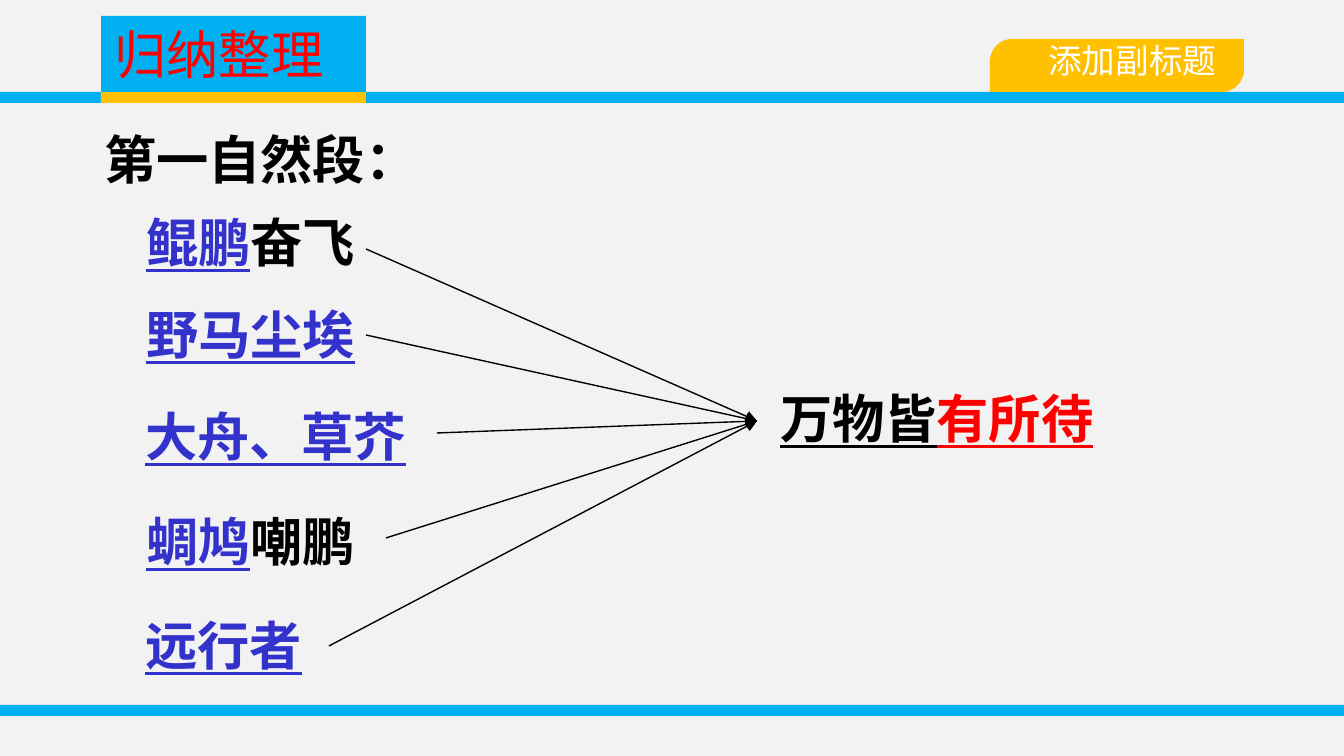
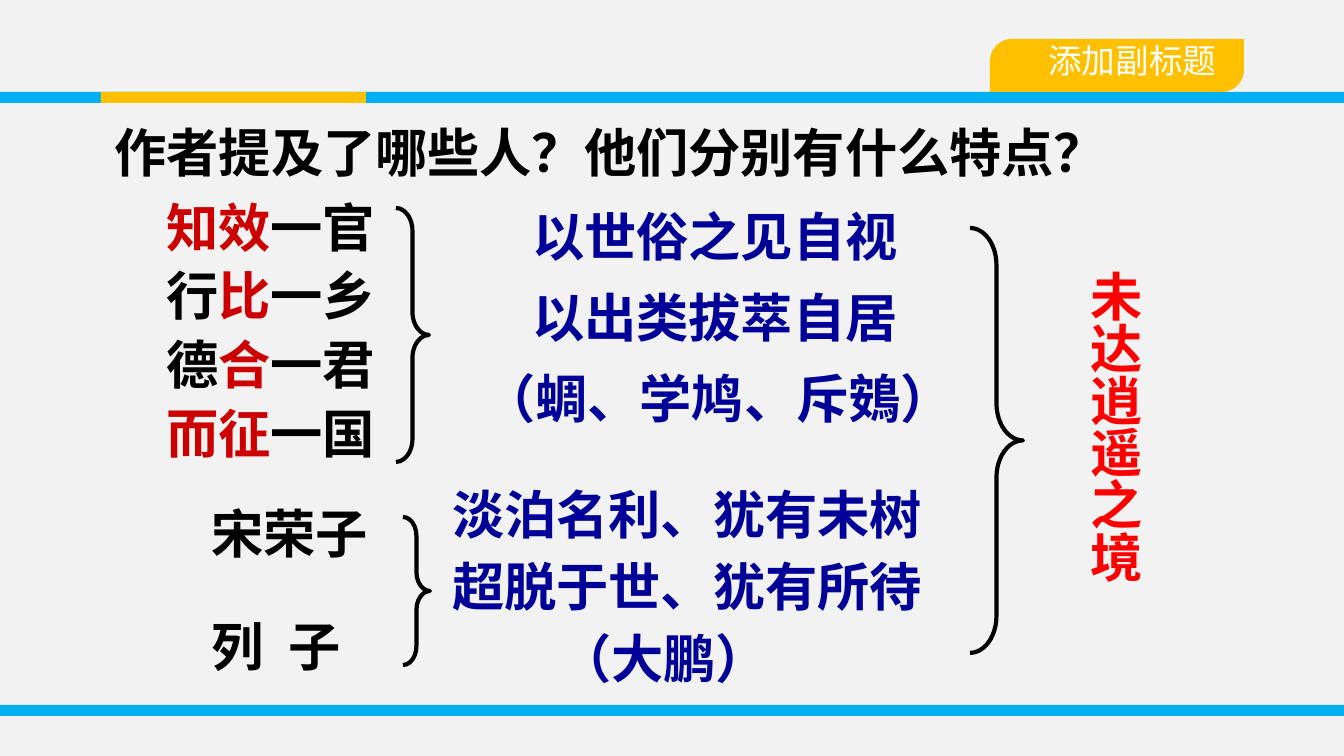
from dataclasses import dataclass

from lxml.etree import SubElement
from pptx import Presentation
from pptx.dml.color import RGBColor
from pptx.enum.shapes import MSO_CONNECTOR as Connector, MSO_SHAPE as Shape
from pptx.enum.text import MSO_ANCHOR as Anchor, MSO_AUTO_SIZE as AutoSize, PP_ALIGN as Align
from pptx.oxml.ns import qn
from pptx.util import Pt


@dataclass(frozen=True)
class Theme:
    font: str = "Arial"
    body_size: int = 28
    tab_size: int = 18
    space_before: int = 15
    arrow_width: float = 0.75
    brace_width: float = 2.25
    paper: str = "F2F2F2"
    band: str = "00B0F0"
    accent: str = "FFC000"
    white: str = "FFFFFF"
    black: str = "000000"
    red: str = "FF0000"
    crimson: str = "CC0000"
    violet: str = "3333CC"
    navy: str = "000099"


THEME = Theme()
EMU_PER_PX = 914400 / 134.4
SLIDE_SIZE = (1344, 756)

BANDS = [
    ((0, 705, 1344, 11), THEME.band),
    ((0, 92, 1344, 11), THEME.band),
    ((101, 92, 265, 11), THEME.accent),
]
SUBTITLE_TAB = ("添加副标题", (990, 39, 254, 53))

SUMMARY_TITLE = ("归纳整理", (101, 16, 265, 76))
SUMMARY_HEADING = ("第一自然段：", (91, 121, 345, 77))
EXAMPLES = [
    ([("鲲鹏", THEME.violet, True), ("奋飞", THEME.black)], (133, 204, 380, 77), (366, 249)),
    ([("野马尘埃", THEME.violet, True)], (133, 296, 269, 77), (366, 335)),
    ([("大舟、草芥", THEME.violet, True)], (132, 398, 349, 77), (437, 433)),
    ([("蜩鸠", THEME.violet, True), ("嘲鹏", THEME.black)], (133, 503, 392, 77), (386, 538)),
    ([("远行者", THEME.violet, True)], (132, 607, 325, 77), (329, 646)),
]
ARROW_TARGET = (757, 421)
CONCLUSION = (
    [("万物皆", THEME.black, True), ("有所待", THEME.red, True)],
    (767, 380, 423, 77),
)

QUESTION_TITLE = ("作者提及了哪些人？他们分别有什么特点？", (101, 113, 1101, 77))
OFFICIALS = [
    [("知效", THEME.crimson), ("一官", THEME.black)],
    [("行", THEME.black), ("比", THEME.crimson), ("一乡", THEME.black)],
    [("德", THEME.black), ("合", THEME.crimson), ("一君", THEME.black)],
    [("而征", THEME.crimson), ("一国", THEME.black)],
]
WORLDLY_VIEWS = [
    [("以世俗之见自视", THEME.navy)],
    [("以出类拔萃自居", THEME.navy)],
    [("（蜩、学鸠、斥鴳）", THEME.navy)],
]
SAGES = [[("宋荣子", THEME.black)], [("列\t子", THEME.black)]]
DETACHED_VIEWS = [
    [("淡泊名利、犹有未树", THEME.navy)],
    [("超脱于世、犹有所待", THEME.navy)],
    [("（大鹏）", THEME.navy)],
]
PEOPLE_BOXES = [
    (OFFICIALS, (153, 208, 276, 278), dict(spacing=[0.65] * 4)),
    (WORLDLY_VIEWS, (470, 207, 508, 237), dict(spacing=[0.85] * 3, indents=[49, 49, 0])),
    (SAGES, (198, 495, 202, 194), dict(spacing=[1, 1.35], tab_stop=77)),
    (DETACHED_VIEWS, (439, 493, 560, 210), dict(spacing=[0.7] * 3, indents=[0, 0, 107])),
]
VERDICT = ([[("未达逍遥之境", THEME.red)]], (1063, 257, 90, 368))
BRACES = [(396, 208, 33, 254), (403, 517, 27, 148), (970, 228, 53, 425)]


def px(value):
    return round(value * EMU_PER_PX)


def place(area):
    return [px(value) for value in area]


def color(value):
    return RGBColor.from_string(value)


def style_font(font, value, size=THEME.body_size, bold=True, underline=False):
    font.name = THEME.font
    font.size = Pt(size)
    font.bold = bold
    font.underline = underline
    font.color.rgb = color(value)


def add_block(page, area, fill, preset=Shape.RECTANGLE):
    block = page.shapes.add_shape(preset, *place(area))
    block.shadow.inherit = False
    block.fill.solid()
    block.fill.fore_color.rgb = color(fill)
    block.line.fill.background()
    return block


def add_text(page, lines, area, spacing=(1,), indents=None, tab_stop=None):
    box = page.shapes.add_textbox(*place(area))
    frame = box.text_frame
    frame.word_wrap = True
    frame.auto_size = AutoSize.NONE
    for index, spans in enumerate(lines):
        para = frame.add_paragraph() if index else frame.paragraphs[0]
        properties = para._p.get_or_add_pPr()
        if indents:
            properties.set("marL", str(px(indents[index])))
        if tab_stop:
            stops = SubElement(properties, qn("a:tabLst"))
            SubElement(stops, qn("a:tab"), pos=str(px(tab_stop)), algn="l")
        para.line_spacing = float(spacing[index])
        if index:
            para.space_before = Pt(THEME.space_before)
        for text, value, *underline in spans:
            span = para.add_run()
            span.text = text
            style_font(span.font, value, underline=bool(underline))
    return box


def set_title(page, text, area, value, bold, anchor):
    title = page.shapes.title
    title.left, title.top, title.width, title.height = place(area)
    frame = title.text_frame
    frame.text = text
    frame.word_wrap = True
    frame.auto_size = AutoSize.NONE
    frame.vertical_anchor = anchor
    para = frame.paragraphs[0]
    para.alignment = Align.LEFT
    style_font(para.runs[0].font, value, bold=bold)
    return title


def add_arrow(page, start, end):
    arrow = page.shapes.add_connector(Connector.STRAIGHT, *place(start + end))
    arrow.line.width = Pt(THEME.arrow_width)
    arrow.line.color.rgb = color(THEME.black)
    SubElement(arrow.line._get_or_add_ln(), qn("a:tailEnd"), type="triangle")
    SubElement(arrow.element.spPr, qn("a:effectLst"))


def add_brace(page, area):
    brace = page.shapes.add_shape(Shape.RIGHT_BRACE, *place(area))
    brace.shadow.inherit = False
    brace.adjustments[0] = 0.7
    brace.fill.background()
    brace.line.width = Pt(THEME.brace_width)
    brace.line.color.rgb = color(THEME.black)


def dress_layout(layout, page):
    layout.background.fill.solid()
    layout.background.fill.fore_color.rgb = color(THEME.paper)
    blocks = [add_block(page, area, fill) for area, fill in BANDS]

    text, area = SUBTITLE_TAB
    tab = add_block(page, area, THEME.accent, Shape.ROUND_2_DIAG_RECTANGLE)
    tab.adjustments[0] = 0.42
    frame = tab.text_frame
    frame.text = text
    frame.vertical_anchor = Anchor.MIDDLE
    frame.margin_top, frame.margin_bottom, frame.margin_right = place((0, 10, 21))
    para = frame.paragraphs[0]
    para.alignment = Align.RIGHT
    style_font(para.runs[0].font, THEME.white, THEME.tab_size, bold=False)

    for block in blocks + [tab]:
        layout.shapes.element.append(block.element)


def build_summary(page):
    title = set_title(page, *SUMMARY_TITLE, THEME.red, False, Anchor.MIDDLE)
    title.fill.solid()
    title.fill.fore_color.rgb = color(THEME.band)
    heading, area = SUMMARY_HEADING
    add_text(page, [[(heading, THEME.black)]], area)
    for spans, area, start in EXAMPLES:
        add_text(page, [spans], area)
        add_arrow(page, start, ARROW_TARGET)
    spans, area = CONCLUSION
    add_text(page, [spans], area)


def build_people(page):
    set_title(page, *QUESTION_TITLE, THEME.black, True, Anchor.TOP)
    for lines, area, options in PEOPLE_BOXES:
        add_text(page, lines, area, **options)
    for area in BRACES:
        add_brace(page, area)
    verdict = add_text(page, *VERDICT)
    verdict.element.txBody.bodyPr.set("vert", "eaVert")


def main():
    deck = Presentation()
    deck.slide_width, deck.slide_height = place(SLIDE_SIZE)
    layout = deck.slide_layouts[5]
    summary, people = [deck.slides.add_slide(layout) for _ in range(2)]
    dress_layout(layout, summary)
    build_summary(summary)
    build_people(people)
    deck.save("out.pptx")


if __name__ == "__main__":
    main()
